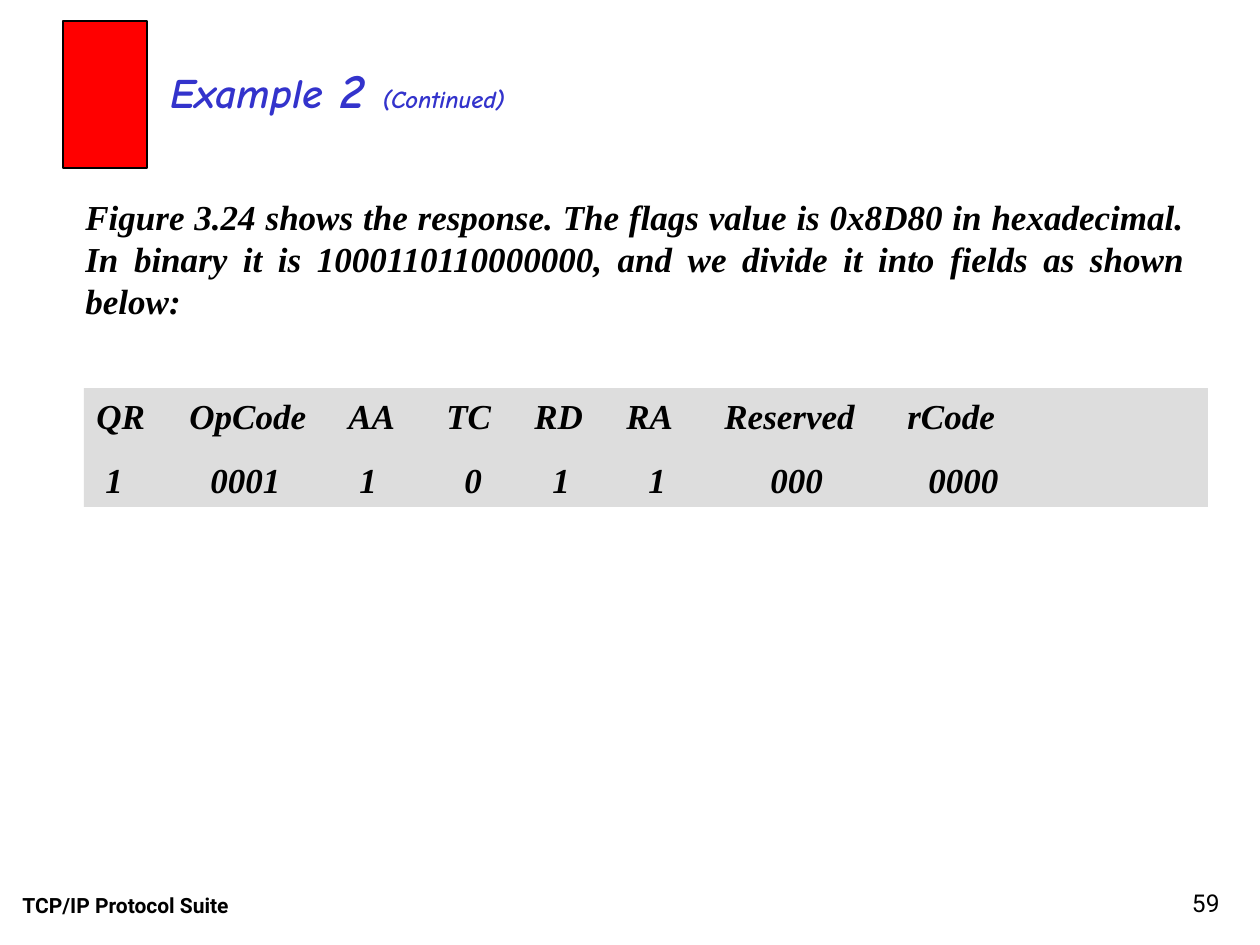
from pptx import Presentation
from pptx.dml.color import RGBColor
from pptx.enum.shapes import MSO_SHAPE
from pptx.enum.text import MSO_ANCHOR, PP_ALIGN
from pptx.oxml.xmlchemy import OxmlElement
from pptx.util import Pt

PIXELS_PER_INCH = 126
BLACK = "000000"
BLUE = "3333CC"
SERIF = "Times New Roman"
SANS = "Roboto"

HEADER_STOPS = [93, 252, 350, 438, 530, 628, 811]
VALUE_STOPS = [9, 114, 263, 368, 456, 552, 674, 832]
FIELD_NAMES = ["QR", "OpCode", "AA", "TC", "RD", "RA", "Reserved", "rCode"]
FIELD_VALUES = ["1", "0001", "1", "0", "1", "1", "000", "0000"]


def px(length):
    return round(length * 914400 / PIXELS_PER_INCH)


def color(value):
    return RGBColor.from_string(value)


def set_font(font, name, size, fill=BLACK, bold=False, italic=False):
    font.name = name
    font.size = Pt(size)
    font.bold = bold
    font.italic = italic
    font.color.rgb = color(fill)


def add_text(page, left, top, width, height, anchor=MSO_ANCHOR.TOP):
    box = page.shapes.add_textbox(px(left), px(top), px(width), px(height))
    frame = box.text_frame
    frame.word_wrap = True
    frame.vertical_anchor = anchor
    return frame.paragraphs[0]


def add_rectangle(page, left, top, width, height, fill, line=None):
    box = page.shapes.add_shape(
        MSO_SHAPE.RECTANGLE, px(left), px(top), px(width), px(height))
    box.shadow.inherit = False
    box.fill.solid()
    box.fill.fore_color.rgb = color(fill)
    if line:
        box.line.color.rgb = color(line)
        box.line.width = Pt(0.75)
    else:
        box.line.fill.background()
    return box


def set_tab_stops(para, stops):
    tab_list = OxmlElement("a:tabLst")
    for stop in stops:
        tab = OxmlElement("a:tab")
        tab.set("pos", str(px(stop)))
        tab.set("algn", "l")
        tab_list.append(tab)
    para._p.get_or_add_pPr().append(tab_list)


def style_body(para, alignment):
    para.alignment = alignment
    para.space_before = Pt(12.5)
    set_font(para.font, SERIF, 20, bold=True, italic=True)


def fill_row(para, text, stops):
    para.text = text
    style_body(para, PP_ALIGN.LEFT)
    set_tab_stops(para, stops)


def add_title(page):
    para = add_text(page, 158, 53, 651, 72)
    for text, size in [("Example", 24), (" 2 ", 28), ("(Continued)", 14)]:
        span = para.add_run()
        span.text = text
        set_font(span.font, "Comic Neue", size, BLUE, True, True)


def add_flag_fields(page):
    band = add_rectangle(page, 84, 388, 1124, 119, "DDDDDD")
    frame = band.text_frame
    frame.word_wrap = True
    frame.vertical_anchor = MSO_ANCHOR.TOP
    fill_row(frame.paragraphs[0], "\t".join(FIELD_NAMES), HEADER_STOPS)
    fill_row(frame.add_paragraph(), "\t" + "\t".join(FIELD_VALUES), VALUE_STOPS)


def add_footer(page):
    label = add_text(page, 10, 861, 399, 63, MSO_ANCHOR.BOTTOM)
    label.text = "TCP/IP Protocol Suite"
    set_font(label.font, SANS, 12, bold=True)
    number = add_text(page, 970, 861, 262, 63, MSO_ANCHOR.BOTTOM)
    number.text = "59"
    number.alignment = PP_ALIGN.RIGHT
    set_font(number.font, SANS, 14)


def main():
    deck = Presentation()
    deck.slide_width = px(1260)
    deck.slide_height = px(945)
    page = deck.slides.add_slide(deck.slide_layouts[6])
    add_footer(page)
    add_title(page)
    add_rectangle(page, 63, 21, 84, 147, "FF0000", BLACK)
    add_flag_fields(page)
    body = add_text(page, 73, 189, 1124, 139)
    body.text = (
        "Figure 3.24 shows the response. The flags value is 0x8D80 in "
        "hexadecimal. In binary it is 1000110110000000, and we divide it "
        "into fields as shown below:")
    style_body(body, PP_ALIGN.JUSTIFY)
    deck.save("out.pptx")


if __name__ == "__main__":
    main()
